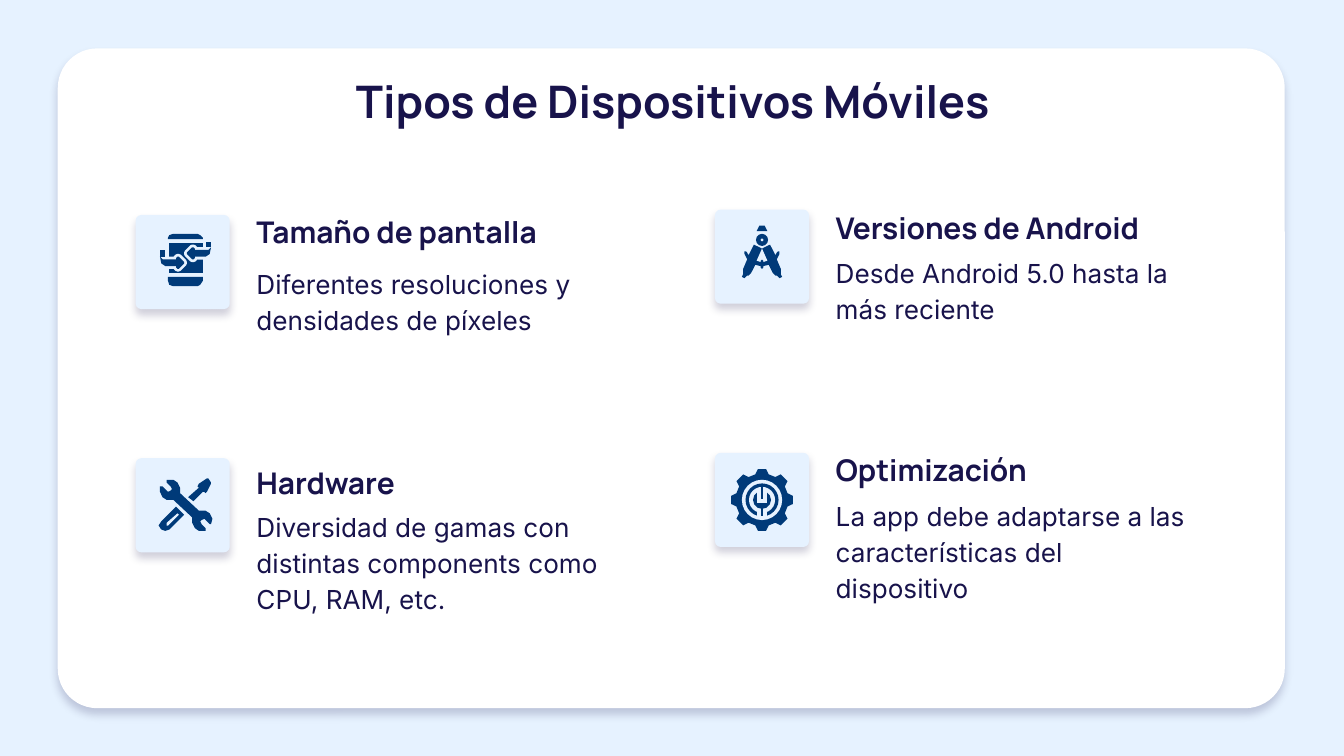
import math
import pptx
import pptx.util
import pptx.dml.color
import pptx.enum.shapes
import pptx.enum.text
import pptx.oxml
import pptx.oxml.ns

Inches, Pt = pptx.util.Inches, pptx.util.Pt
SHAPE = pptx.enum.shapes.MSO_SHAPE
COLORS = {"ink": "18134B", "icon": "003A79", "pale": "E6F2FF", "card": "FFFFFF"}
WIDTH, HEIGHT = 10, 10 * 9 / 16
UNIT = 9144  # icons are drawn in hundredths of an inch

TITLE = "Tipos de Dispositivos Móviles"
# heading, body, heading's offset from the tile's top, icon
TOPICS = [
    ("Tamaño de pantalla", "Diferentes resoluciones y densidades de píxeles", -0.11, "phone"),
    ("Versiones de Android", "Desde Android 5.0 hasta la más reciente", -0.10, "compass"),
    ("Hardware", "Diversidad de gamas con distintas components como CPU, RAM, etc.", -0.05, "tools"),
    ("Optimización", "La app debe adaptarse a las características del dispositivo", -0.11, "gear"),
]


def mirror(half, axis=35):
    """Close a half outline with its reflection in a vertical axis."""
    return half + [(2 * axis - x, y) for x, y in reversed(half)]


def box(x, y, w, h):
    return [(x, y), (x + w, y), (x + w, y + h), (x, y + h)]


def cog(center, outer, inner, teeth):
    step = 2 * math.pi / teeth
    profile = [(-0.32, inner), (-0.17, outer), (0.17, outer), (0.32, inner)]
    return [(center + r * math.sin((n + share) * step), center - r * math.cos((n + share) * step))
            for n in range(teeth) for share, r in profile]


arrow = [(18, 31), (20, 33), (30, 33), (30, 32), (31, 31), (32, 31), (36, 35), (36, 36),
         (32, 40), (31, 40), (30, 39), (30, 38), (22, 38), (19, 36)]
arrows = [arrow, [(74 - x, y - 7) for x, y in arrow]]
leg = [(35, 29), (33, 28.5), (29, 26), (25, 34), (24, 32), (23, 31), (22, 31), (21.5, 33),
       (24, 37), (21, 44), (21, 48), (20.5, 50), (22, 51), (23, 50), (23.5, 49), (25, 49),
       (27, 47), (30, 41), (34, 42), (34, 43), (35, 44)]
jaw = [(33, 26), (33, 22), (31, 18), (28, 16), (25, 15.5), (23, 16), (23, 18), (26, 21),
       (27, 23), (26, 24), (24, 25), (23, 24), (20, 21), (18.5, 21), (18, 25), (20, 29),
       (23, 31), (28, 31)]
handle = [(30, 36), (19, 47), (17, 50), (19, 53), (22, 54), (25, 53), (36, 42)]
slot = [(31, 41), (23, 48), (23, 50), (24, 50), (32, 42)]
blade = [(53, 15), (47, 19), (46, 21), (47, 22), (39, 29), (43, 32), (50, 25), (51, 25),
         (52, 26), (53, 25), (56, 19), (56, 18), (54, 15)]

# parts as (color, outline, halo in points); a circle is (center x, center y, radius)
ICONS = {
    "phone": [
        ("icon", mirror([(24, 18), (24, 17), (25, 15), (28, 14)], 36.75), 0),
        ("icon", box(25, 21, 25, 22), 0),
        ("icon", mirror([(24, 46), (24, 49), (25, 52), (28, 53)], 36.75), 0),
        *[("pale", part, 3) for part in arrows],
        *[("icon", part, 0) for part in arrows],
        ("icon", box(52, 20, 4, 4), 0),
        ("icon", box(18, 26, 4, 5), 0),
    ],
    "compass": [
        ("icon", mirror([(31, 16), (31.5, 14), (33, 12.5), (35, 12)]), 0),
        ("icon", mirror(leg), 0),
        ("pale", mirror([(35, 29), (31, 38), (34, 39), (34, 38), (35, 37)]), 0),
        ("icon", (35, 22.5, 4.5), 0),
        ("pale", (35, 22.5, 1), 0),
    ],
    "tools": [
        ("icon", jaw + [(75 - x, 70 - y) for x, y in jaw], 0),
        ("icon", handle, 0),
        ("pale", slot, 0),
        ("icon", blade, 0),
    ],
    "gear": [
        ("icon", cog(35, 23.3, 19.5, 8), 0),
        ("pale", (35, 35, 15), 0),
        ("icon", (35, 35, 12.3), 0),
        ("pale", (35, 35, 9.7), 0),
        ("pale", box(31, 43, 8, 5), 0),
        ("icon", (35, 35, 6.7), 0),
        ("pale", box(31, 27, 8, 10), 0),
        ("icon", box(33.5, 24, 3, 10), 0),
        ("icon", box(33.5, 40, 3, 7), 0),
    ],
}


def rgb(name):
    return pptx.dml.color.RGBColor.from_string(COLORS[name])


def paint(shape, color, halo=0):
    shape.shadow.inherit = False
    shape.fill.solid()
    shape.fill.fore_color.rgb = rgb(color)
    if halo:
        shape.line.color.rgb = rgb(color)
        shape.line.width = Pt(halo)
    else:
        shape.line.fill.background()


def panel(slide, color, place, drop):
    """Add a rounded rectangle with a soft shadow below it."""
    shape = slide.shapes.add_shape(SHAPE.ROUNDED_RECTANGLE, *map(Inches, place))
    shape.adjustments[0] = 0.06
    paint(shape, color)
    effects = shape._element.spPr.find(pptx.oxml.ns.qn("a:effectLst"))
    effects.append(pptx.oxml.parse_xml(
        f'<a:outerShdw {pptx.oxml.ns.nsdecls("a")} blurRad="{Pt(4.5)}" dist="{Pt(drop)}" '
        f'dir="5400000" algn="bl" rotWithShape="0"><a:srgbClr val="{COLORS["ink"]}">'
        '<a:alpha val="20000"/></a:srgbClr></a:outerShdw>'))
    return shape


def write(shape, text, font, size, bold=False, spacing=1.0):
    frame = shape.text_frame
    frame.text = text
    frame.word_wrap = True
    frame.auto_size = pptx.enum.text.MSO_AUTO_SIZE.NONE
    frame.vertical_anchor = pptx.enum.text.MSO_ANCHOR.TOP
    frame.margin_left = frame.margin_right = Inches(0.1)
    frame.margin_top = frame.margin_bottom = Inches(0.1)
    line = frame.paragraphs[0]
    line.line_spacing = spacing
    line.font.name, line.font.size, line.font.bold = font, Pt(size), bold
    line.font.color.rgb = rgb("ink")
    return line


def draw(slide, icon, left, top):
    for color, outline, halo in ICONS[icon]:
        if isinstance(outline, tuple):
            x, y, r = outline
            shape = slide.shapes.add_shape(
                SHAPE.OVAL, left + round((x - r) * UNIT), top + round((y - r) * UNIT),
                round(2 * r * UNIT), round(2 * r * UNIT))
        else:
            path = slide.shapes.build_freeform(*outline[0], scale=UNIT)
            path.add_line_segments(outline[1:], close=True)
            shape = path.convert_to_shape(left, top)
        paint(shape, color, halo)


def main():
    deck = pptx.Presentation()
    deck.slide_width, deck.slide_height = Inches(WIDTH), Inches(HEIGHT)
    slide = deck.slides.add_slide(deck.slide_layouts[5])
    slide.background.fill.solid()
    slide.background.fill.fore_color.rgb = rgb("pale")

    card = panel(slide, "card", (0.43, 0.36, 9.13, 4.91), 3.8)
    slide.shapes._spTree.insert(2, card._element)  # behind the title

    title = slide.shapes.title
    title.left, title.top, title.width, title.height = map(Inches, (0.79, 0.45, 8.43, 0.63))
    line = write(title, TITLE, "Manrope", 24, bold=True)
    line.alignment = pptx.enum.text.PP_ALIGN.CENTER

    for n, (heading, body, offset, icon) in enumerate(TOPICS):
        row, col = divmod(n, 2)
        left, top = 1.01 + 4.31 * col, 1.6 + 1.81 * row - 0.04 * col
        panel(slide, "pale", (left, top, 0.7, 0.7), 3)
        draw(slide, icon, Inches(left), Inches(top))
        width = 3.01 - 0.15 * col
        label = slide.shapes.add_textbox(*map(Inches, (left + 0.8, top + offset, width, 0.47)))
        write(label, heading, "Manrope", 16, bold=True)
        note = slide.shapes.add_textbox(
            *map(Inches, (left + 0.8, top + 0.26 - 0.04 * col, width, 1.22)))
        write(note, body, "Inter", 14, spacing=1.15)

    deck.save("out.pptx")


if __name__ == "__main__":
    main()
